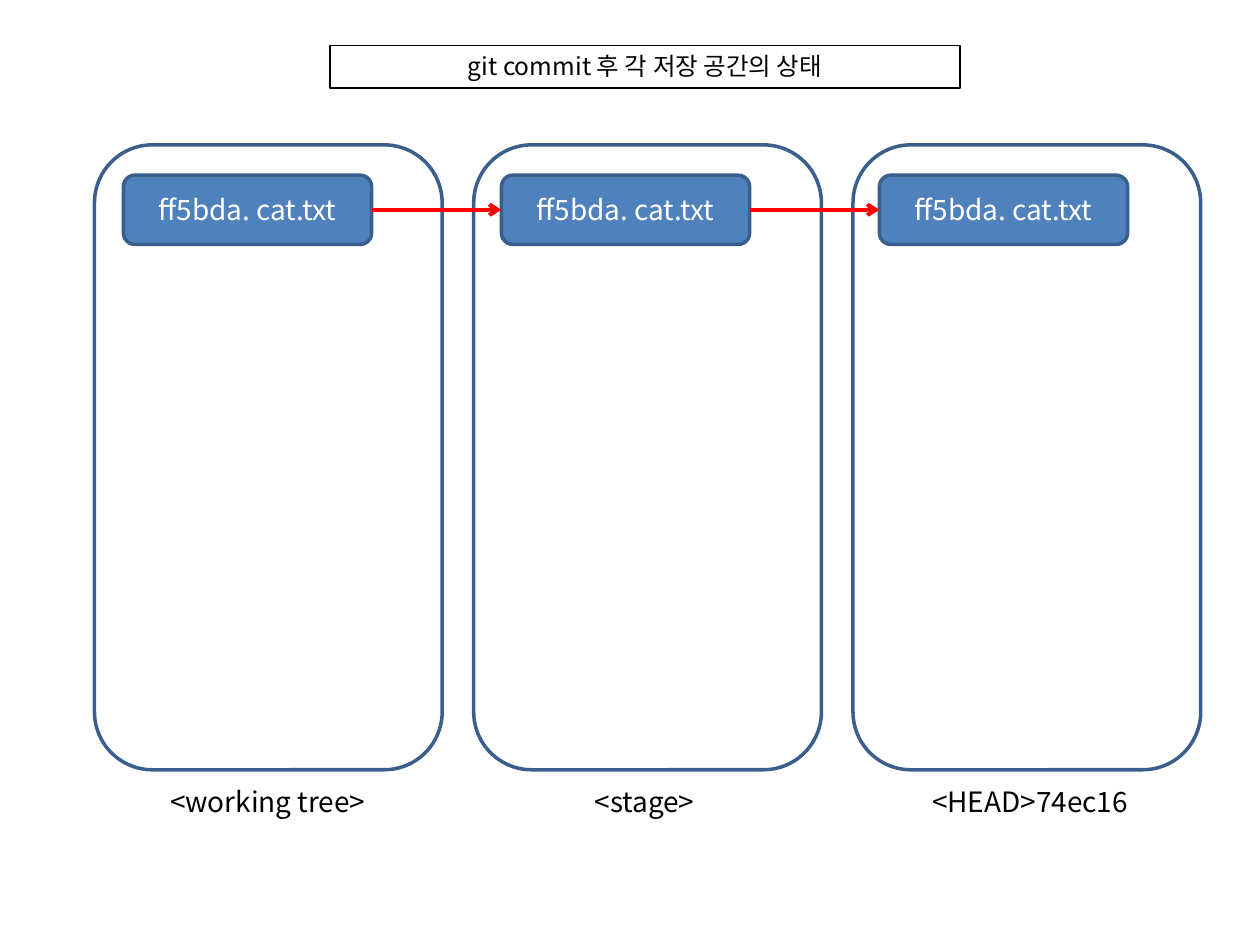
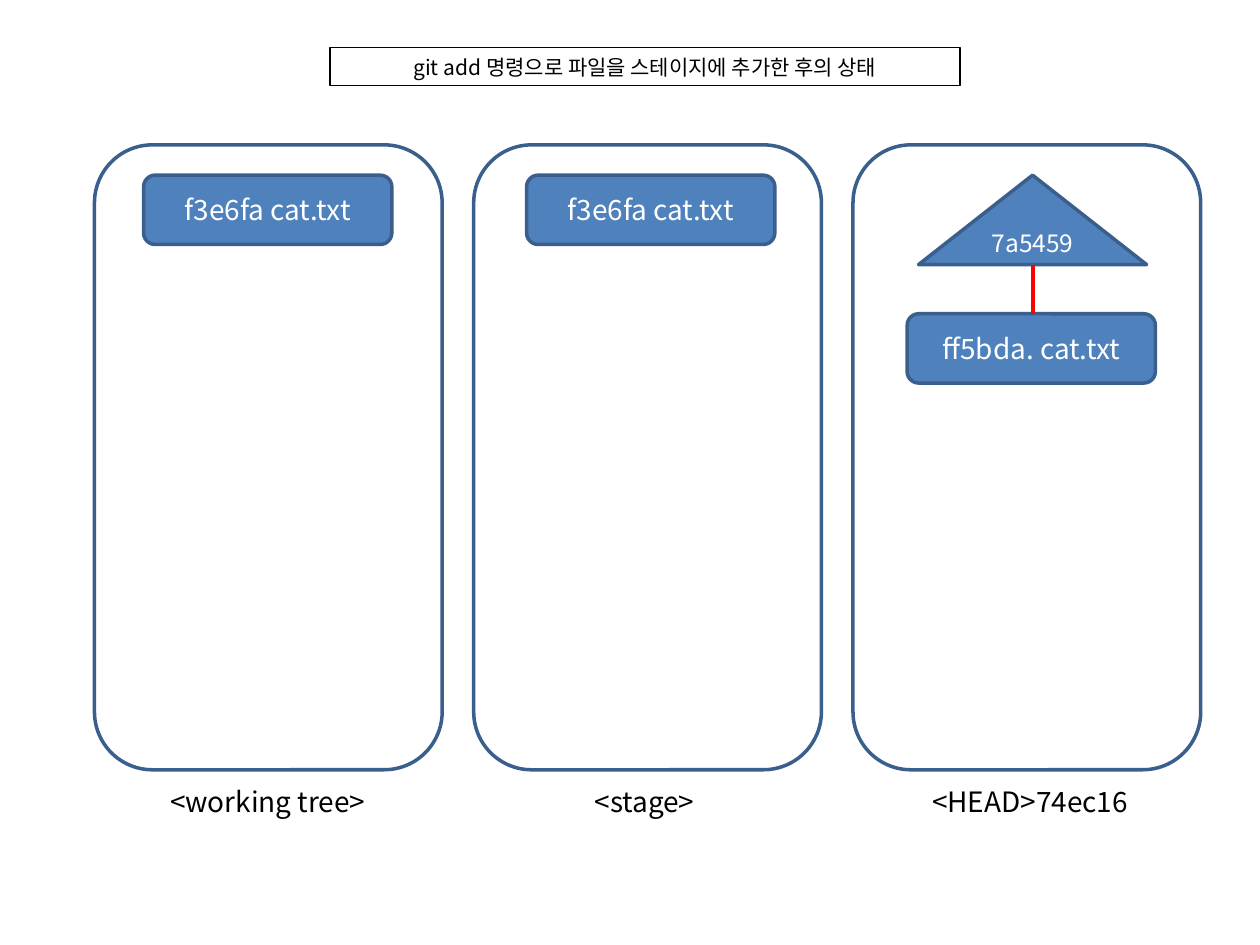
from dataclasses import dataclass

from lxml.etree import SubElement
from pptx import Presentation
from pptx.dml.color import RGBColor
from pptx.enum.shapes import MSO_CONNECTOR, MSO_SHAPE
from pptx.enum.text import MSO_ANCHOR, MSO_AUTO_SIZE, PP_ALIGN
from pptx.oxml.ns import qn
from pptx.util import Pt


@dataclass(frozen=True)
class Theme:
    font: str = "Noto Sans CJK KR"
    fill: RGBColor = RGBColor(0x4F, 0x81, 0xBD)
    border: RGBColor = RGBColor(0x3A, 0x5F, 0x8C)
    link: RGBColor = RGBColor(0xFF, 0, 0)
    dark: RGBColor = RGBColor(0, 0, 0)
    light: RGBColor = RGBColor(0xFF, 0xFF, 0xFF)
    body_size: int = 16
    commit_size: int = 14


theme = Theme()


def add_box(slide, kind, bounds, text="", size=theme.body_size, color=theme.dark,
            fill=None, border=None, border_width=2):
    """Add a preset shape; filled ones centre their text, others grow with it."""
    box = slide.shapes.add_shape(kind, *(Pt(length) for length in bounds))
    box.shadow.inherit = False
    if fill is None:
        box.fill.background()
    else:
        box.fill.solid()
        box.fill.fore_color.rgb = fill
    if border is None:
        box.line.fill.background()
    else:
        box.line.color.rgb = border
        box.line.width = Pt(border_width)
    if text:
        frame = box.text_frame
        frame.word_wrap = True
        frame.vertical_anchor = MSO_ANCHOR.TOP if fill is None else MSO_ANCHOR.MIDDLE
        if fill is None:
            frame.auto_size = MSO_AUTO_SIZE.SHAPE_TO_FIT_TEXT
        paragraph = frame.paragraphs[0]
        paragraph.text = text
        paragraph.alignment = PP_ALIGN.CENTER
        paragraph.font.size = Pt(size)
        paragraph.font.name = theme.font
        paragraph.font.color.rgb = color
        defaults = paragraph._p.pPr.find(qn("a:defRPr"))
        SubElement(defaults, qn("a:ea"), typeface=theme.font)
    return box


def add_link(slide, start, end, arrow=False):
    link = slide.shapes.add_connector(
        MSO_CONNECTOR.STRAIGHT, *(Pt(length) for length in (*start, *end)))
    link.line.color.rgb = theme.link
    link.line.width = Pt(2.25)
    if arrow:
        SubElement(link.line._get_or_add_ln(), qn("a:tailEnd"), type="arrow")
    SubElement(link._element.spPr, qn("a:effectLst"))


AREA_LEFT, AREA_TOP, AREA_WIDTH, AREA_HEIGHT, AREA_STEP = 54, 82.8, 198.72, 357.12, 216.72
AREA_LABELS = [(79.2, "<working tree>"), (294.48, "<stage>"), (514.8, "<HEAD>74ec16")]
FILE_TOP, FILE_WIDTH, FILE_HEIGHT = 100.08, 141.84, 39.6
COMMITTED = "ff5bda. cat.txt"
STAGED = "f3e6fa cat.txt"

# Each state: title, title size, title top and height, files as (left, top, text)
states = [
    ("git commit 후 각 저장 공간의 상태", 14, 25.92, 24.48,
     [(left, FILE_TOP, COMMITTED) for left in (70.56, 286.56, 502.56)]),
    ("git add 명령으로 파일을 스테이지에 추가한 후의 상태", 12, 27.36, 21.6,
     [(82.08, FILE_TOP, STAGED), (300.96, FILE_TOP, STAGED), (518.4, 179.28, COMMITTED)]),
]

presentation = Presentation()
presentation.slide_width, presentation.slide_height = Pt(720), Pt(540)
slides = []

for title, title_size, title_top, title_height, files in states:
    slide = presentation.slides.add_slide(presentation.slide_layouts[6])
    slides.append(slide)
    add_box(slide, MSO_SHAPE.RECTANGLE, (188.64, title_top, 360, title_height),
            title, title_size, border=theme.dark, border_width=0.75)
    for column, (label_left, label) in enumerate(AREA_LABELS):
        area_left = AREA_LEFT + column * AREA_STEP
        add_box(slide, MSO_SHAPE.ROUNDED_RECTANGLE,
                (area_left, AREA_TOP, AREA_WIDTH, AREA_HEIGHT), border=theme.border)
        add_box(slide, MSO_SHAPE.RECTANGLE, (label_left, 444.96, 147.6, 26.64), label)
    for left, top, file_text in files:
        add_box(slide, MSO_SHAPE.ROUNDED_RECTANGLE, (left, top, FILE_WIDTH, FILE_HEIGHT),
                file_text, color=theme.light, fill=theme.fill, border=theme.border)

committed_slide, staged_slide = slides

# After the commit, the same file runs through all three areas
committed_files = states[0][-1]
arrow_y = FILE_TOP + FILE_HEIGHT / 2
for (left, *_), (next_left, *_) in zip(committed_files, committed_files[1:]):
    add_link(committed_slide, (left + FILE_WIDTH, arrow_y), (next_left, arrow_y), arrow=True)

# After the add, HEAD still holds the previous commit and its file
commit_left, commit_width, commit_height = 524.88, 130.32, 51.12
add_box(staged_slide, MSO_SHAPE.ISOSCELES_TRIANGLE,
        (commit_left, FILE_TOP, commit_width, commit_height), "7a5459",
        theme.commit_size, theme.light, theme.fill, theme.border)
commit_x = commit_left + commit_width / 2
head_file_top = states[1][-1][-1][1]
add_link(staged_slide, (commit_x, FILE_TOP + commit_height), (commit_x, head_file_top))

presentation.save("out.pptx")
